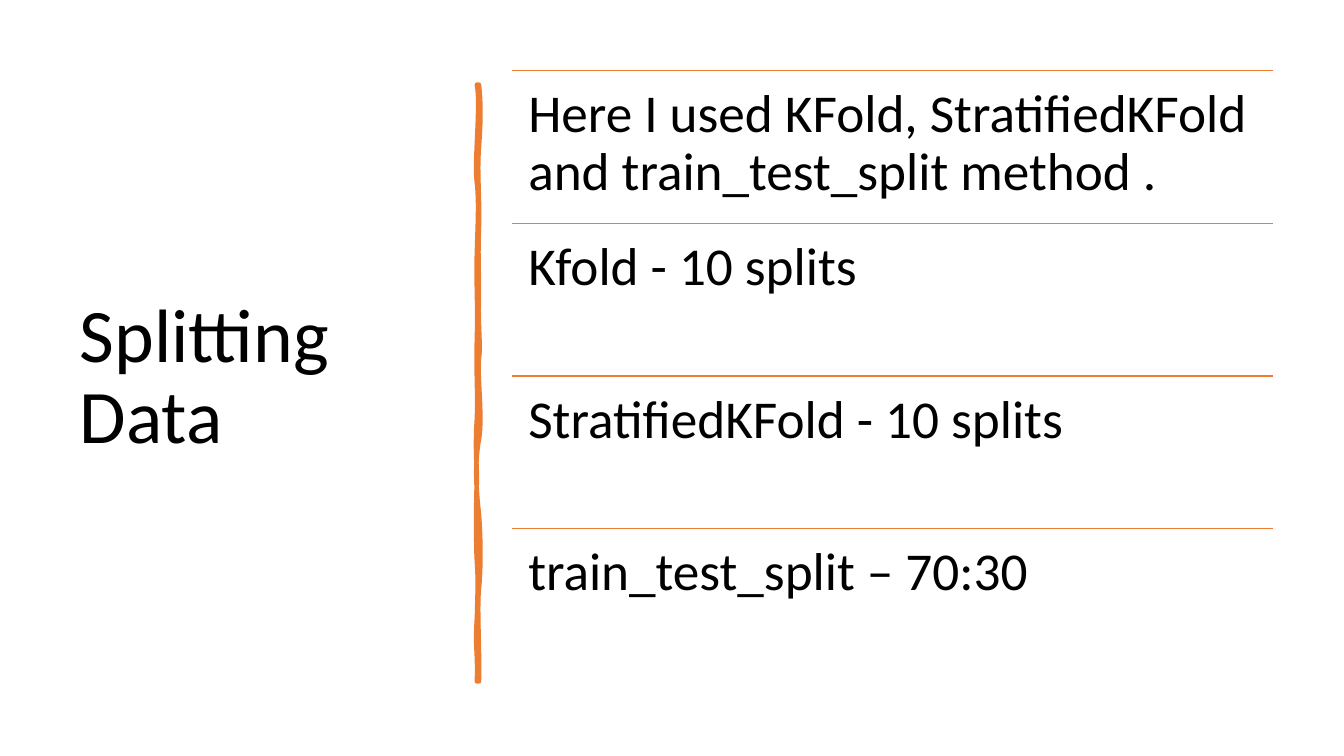
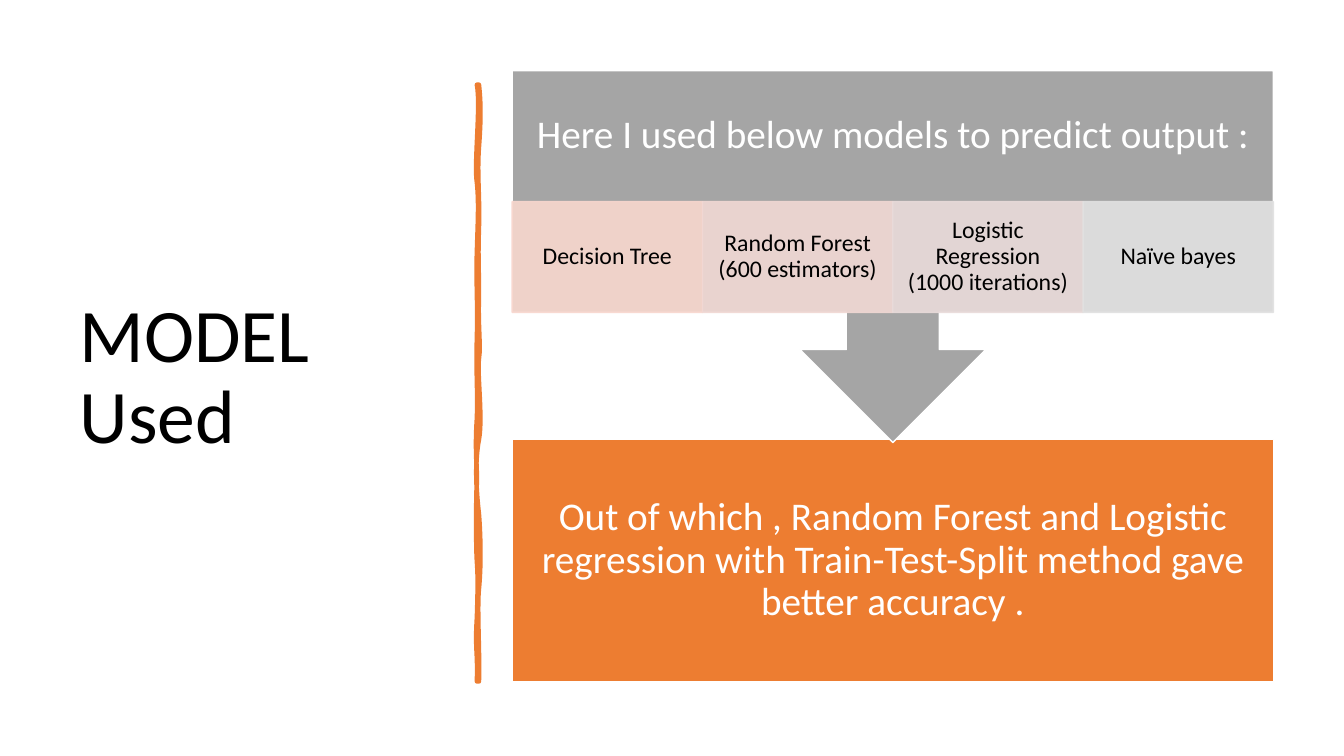
from lxml.etree import SubElement
from pptx import Presentation
from pptx.dml.color import RGBColor
from pptx.enum.shapes import MSO_CONNECTOR, MSO_SHAPE
from pptx.enum.text import MSO_ANCHOR, MSO_AUTO_SIZE, PP_ALIGN
from pptx.oxml.ns import qn
from pptx.util import Inches, Pt

SPLITTING = {
    "title": "Splitting Data",
    "rows": [
        "Here I used KFold, StratifiedKFold and train_test_split method .",
        "Kfold - 10 splits",
        "StratifiedKFold - 10 splits",
        "train_test_split – 70:30",
    ],
}
MODELS = {
    "title": "MODEL Used",
    "intro": "Here I used below models to predict output :",
    "models": [
        ("Decision Tree", "F8D7CE"),
        ("Random Forest (600 estimators)", "F1D8D4"),
        ("Logistic Regression (1000 iterations)", "E9DBDA"),
        ("Naïve bayes", "E1E1E1"),
    ],
    "conclusion": "Out of which , Random Forest and Logistic regression with "
                  "Train-Test-Split method gave better accuracy .",
}

FONT, ORANGE, GREY, WHITE, BLACK = "Calibri", "ED7D31", "A5A5A5", "FFFFFF", "000000"
SLIDE_W, SLIDE_H = 13.33, 7.5
TITLE_BOX = (0.69, 0.7, 3.74, 6.11)
LEFT, TOP, WIDTH, HEIGHT = 5.08, 0.7, 7.55, 6.06

# Hand-drawn divider: a start point, then cubic curves (control, control, end).
STROKE_START = (4.75, 0.84)
STROKE_CURVES = [
    ((4.77, 1.02), (4.77, 1.19), (4.75, 1.46)), ((4.73, 1.73), (4.76, 1.95), (4.75, 2.26)),
    ((4.74, 2.57), (4.75, 2.62), (4.75, 2.94)), ((4.74, 3.25), (4.77, 3.42), (4.75, 3.56)),
    ((4.73, 3.7), (4.79, 4.14), (4.75, 4.36)), ((4.71, 4.57), (4.72, 4.84), (4.75, 5.1)),
    ((4.77, 5.36), (4.77, 5.64), (4.75, 5.84)), ((4.73, 6.03), (4.76, 6.5), (4.75, 6.76)),
    ((4.74, 6.76), (4.73, 6.76), (4.73, 6.76)), ((4.74, 6.46), (4.71, 6.44), (4.73, 6.13)),
    ((4.74, 5.83), (4.74, 5.7), (4.73, 5.57)), ((4.72, 5.44), (4.72, 4.95), (4.73, 4.77)),
    ((4.73, 4.59), (4.71, 4.45), (4.73, 4.15)), ((4.74, 3.86), (4.72, 3.73), (4.73, 3.35)),
    ((4.74, 2.98), (4.72, 2.81), (4.73, 2.5)), ((4.74, 2.18), (4.75, 2), (4.73, 1.81)),
    ((4.7, 1.63), (4.77, 1.04), (4.73, 0.84)),
]


def rgb(color):
    """Turn a hex string into a colour."""
    return RGBColor.from_string(color)


def write(shape, text, size, color=BLACK, align=PP_ALIGN.LEFT,
          anchor=MSO_ANCHOR.TOP, inset=(0.1, 0.05)):
    """Put one formatted paragraph into a shape; inset is (sides, top and bottom)."""
    frame = shape.text_frame
    frame.text = text
    frame.word_wrap = True
    frame.auto_size = MSO_AUTO_SIZE.NONE
    frame.vertical_anchor = anchor
    frame.margin_left = frame.margin_right = Inches(inset[0])
    frame.margin_top = frame.margin_bottom = Inches(inset[1])
    paragraph = frame.paragraphs[0]
    paragraph.alignment = align
    paragraph.line_spacing = 0.9
    font = paragraph.runs[0].font
    font.name, font.size, font.color.rgb = FONT, Pt(size), rgb(color)


def paint(shape, fill, line, weight=1, opacity=100):
    """Give a shape its fill and outline, with no shadow."""
    shape.shadow.inherit = False
    shape.fill.solid()
    shape.fill.fore_color.rgb = rgb(fill)
    shape.line.color.rgb = rgb(line)
    shape.line.width = Pt(weight)
    if opacity < 100:
        for color in shape._element.spPr.iter(qn("a:srgbClr")):
            SubElement(color, qn("a:alpha"), val=str(opacity * 1000))


def add_block(slide, preset, box, fill, line, opacity=100):
    """Add a painted preset shape."""
    block = slide.shapes.add_shape(preset, *map(Inches, box))
    paint(block, fill, line, opacity=opacity)
    return block


def add_text(slide, box, text, size, **style):
    """Add a text box."""
    write(slide.shapes.add_textbox(*map(Inches, box)), text, size, **style)


def add_rule(slide, y):
    """Draw a thin line across the content panel."""
    rule = slide.shapes.add_connector(
        MSO_CONNECTOR.STRAIGHT, *map(Inches, (LEFT, y, LEFT + WIDTH, y)))
    rule.line.color.rgb = rgb(ORANGE)
    rule.line.width = Pt(1)
    SubElement(rule._element.spPr, qn("a:effectLst"))


def add_divider(slide):
    """Draw the wavy divider, bending each straight segment into its curve."""
    outline = slide.shapes.build_freeform(*map(Inches, STROKE_START))
    outline.add_line_segments(
        [tuple(map(Inches, curve[-1])) for curve in STROKE_CURVES], close=True)
    divider = outline.convert_to_shape()
    segments = list(divider._element.spPr.iter(qn("a:lnTo")))
    for segment, curve in zip(segments, STROKE_CURVES):
        segment.tag = qn("a:cubicBezTo")
        segment.remove(segment[0])
        for x, y in curve:
            SubElement(segment, qn("a:pt"), x=str(Inches(x) - divider.left),
                       y=str(Inches(y) - divider.top))
    paint(divider, ORANGE, ORANGE, weight=3.25)


def add_titled_slide(deck, title):
    """Add a slide with its title and the divider."""
    slide = deck.slides.add_slide(deck.slide_layouts[5])
    heading = slide.shapes.title
    heading.left, heading.top, heading.width, heading.height = map(Inches, TITLE_BOX)
    write(heading, title, 54, anchor=MSO_ANCHOR.MIDDLE)
    add_divider(slide)
    return slide


def build_splitting(deck):
    """Build the slide of equal ruled rows."""
    slide = add_titled_slide(deck, SPLITTING["title"])
    row_height = HEIGHT / len(SPLITTING["rows"])
    for index, row in enumerate(SPLITTING["rows"]):
        y = TOP + index * row_height
        add_rule(slide, y)
        add_text(slide, (LEFT, y, WIDTH, row_height), row, 38, inset=(0.16, 0.16))


def build_models(deck):
    """Build the slide that leads from the models to the conclusion."""
    slide = add_titled_slide(deck, MODELS["title"])
    centred = {"align": PP_ALIGN.CENTER, "anchor": MSO_ANCHOR.MIDDLE}
    statement = {"color": WHITE, "inset": (0.22, 0.22), **centred}
    conclusion_height, callout_height = 2.4, 3.69
    intro_height, model_height = 1.3, 1.1

    conclusion = add_block(
        slide, MSO_SHAPE.RECTANGLE,
        (LEFT, TOP + HEIGHT - conclusion_height, WIDTH, conclusion_height), ORANGE, WHITE)
    write(conclusion, MODELS["conclusion"], 28, **statement)

    callout = add_block(slide, MSO_SHAPE.UP_ARROW_CALLOUT,
                        (LEFT, TOP, WIDTH, callout_height), GREY, WHITE)
    callout.rotation = 180
    add_text(slide, (LEFT, TOP, WIDTH, intro_height), MODELS["intro"], 28, **statement)

    model_width = WIDTH / len(MODELS["models"])
    for index, (model, tint) in enumerate(MODELS["models"]):
        box = (LEFT + index * model_width, TOP + intro_height, model_width, model_height)
        cell = add_block(slide, MSO_SHAPE.RECTANGLE, box, tint, tint, opacity=90)
        write(cell, model, 17, inset=(0.13, 0.02), **centred)


deck = Presentation()
deck.slide_width, deck.slide_height = Inches(SLIDE_W), Inches(SLIDE_H)
build_splitting(deck)
build_models(deck)
deck.save("out.pptx")
